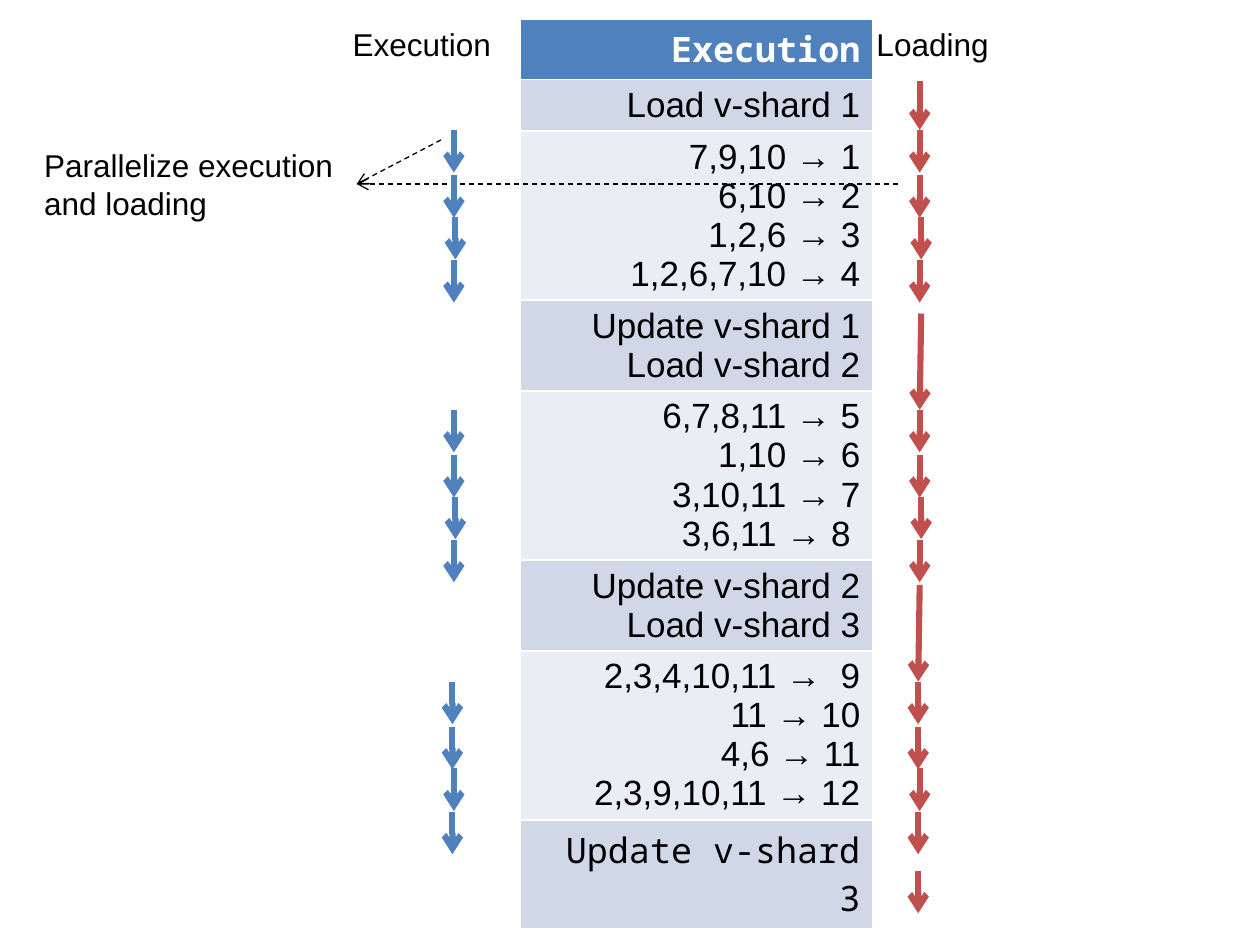
from dataclasses import dataclass

from lxml import etree
from pptx import Presentation
from pptx import util as u
from pptx.dml.color import RGBColor
from pptx.enum import dml, shapes, text
from pptx.oxml.ns import qn


@dataclass(frozen=True)
class Theme:
    sans: str = "Arial"
    mono: str = "Noto Sans Mono"
    ink: str = "000000"
    white: str = "FFFFFF"
    execute: str = "4F81BD"
    load: str = "C0504D"
    band_dark: str = "D0D8E8"
    band_light: str = "E9EDF4"
    table_size: int = 20
    label_size: int = 18
    arrow_width: float = 3.5
    callout_width: float = 0.75


class SlideBuilder:
    def __init__(self, slide, theme):
        self.s, self.theme = slide, theme

    def add_lines(self, tf, lines, size, font=None, color=None, bold=False, align=None):
        fmt = {"name": font or self.theme.sans, "size": u.Pt(size), "bold": bold}
        for i, line in enumerate(lines):
            p = tf.add_paragraph() if i else tf.paragraphs[0]
            p.alignment = align
            r = p.add_run()
            r.text = line
            for key, value in fmt.items():
                setattr(r.font, key, value)
            r.font.color.rgb = RGBColor.from_string(color or self.theme.ink)

    def label(self, x, y, w, h, words, wrap=False):
        tf = self.s.shapes.add_textbox(*map(u.Cm, (x, y, w, h))).text_frame
        tf.word_wrap = wrap
        tf.auto_size = text.MSO_AUTO_SIZE.SHAPE_TO_FIT_TEXT
        self.add_lines(tf, [words], self.theme.label_size)

    def arrow(self, x1, y1, x2, y2, color, width, dash=None):
        sp = self.s.shapes.add_connector(
            shapes.MSO_CONNECTOR.STRAIGHT, *map(u.Cm, (x1, y1, x2, y2)))
        sp.line.color.rgb = RGBColor.from_string(color)
        sp.line.width = u.Pt(width)
        if dash:
            sp.line.dash_style = dash
        sp_pr = sp._element.spPr
        etree.SubElement(sp_pr.find(qn("a:ln")), qn("a:tailEnd"), type="arrow")
        etree.SubElement(sp_pr, qn("a:effectLst"))

    def table(self, x, y, w, rows):
        """Add a one-column table; each row is (height, fill, lines, text format)."""
        heights = [row[0] for row in rows]
        tbl = self.s.shapes.add_table(
            len(rows), 1, *map(u.Cm, (x, y, w, sum(heights)))).table
        for i, (height, fill, lines, fmt) in enumerate(rows):
            tbl.rows[i].height = u.Cm(height)
            cell = tbl.cell(i, 0)
            cell.fill.solid()
            cell.fill.fore_color.rgb = RGBColor.from_string(fill)
            self.add_lines(cell.text_frame, lines, self.theme.table_size,
                           align=text.PP_ALIGN.RIGHT, **fmt)


def main():
    prs = Presentation()
    prs.slide_width, prs.slide_height = u.Cm(25.4), u.Cm(19.05)
    theme = Theme()
    b = SlideBuilder(prs.slides.add_slide(prs.slide_layouts[6]), theme)

    dark, light = theme.band_dark, theme.band_light
    b.table(10.49, 0.38, 7.11, [
        (1.17, theme.execute, ["Execution"],
         {"font": theme.mono, "color": theme.white, "bold": True}),
        (1.04, dark, ["Load v-shard 1"], {}),
        (3.41, light, ["7,9,10 → 1", "6,10 → 2", "1,2,6 → 3", "1,2,6,7,10 → 4"], {}),
        (1.82, dark, ["Update v-shard 1", "Load v-shard 2"], {}),
        (3.41, light, ["6,7,8,11 → 5", "1,10 → 6", "3,10,11 → 7", "3,6,11 → 8 "], {}),
        (1.82, dark, ["Update v-shard 2", "Load v-shard 3"], {}),
        (3.41, light, ["2,3,4,10,11 →  9", "11 → 10", "4,6 → 11",
                       "2,3,9,10,11 → 12"], {}),
        (2.16, dark, ["Update v-shard 3"], {"font": theme.mono}),
    ])

    b.label(17.42, 0.38, 2.79, 1.02, "Loading")
    b.label(6.86, 0.38, 3.33, 1.02, "Execution")
    b.label(0.64, 2.82, 6.55, 1.8, "Parallelize execution and loading", wrap=True)

    for x, y in ((8.89, 2.82), (18.11, 3.71)):
        b.arrow(x, y, 7.19, 3.71, theme.ink, theme.callout_width,
                dml.MSO_LINE.DASH)

    # Four parallel steps per shard, in both lanes
    step_length = 0.86
    for lane_x, color in ((9.15, theme.execute), (18.54, theme.load)):
        for top, shift in ((2.62, 0), (8.26, 0), (13.74, -0.03)):
            for dx, dy in ((0, 0), (0, 0.91), (0.03, 1.75), (0, 2.62)):
                x, y = lane_x + shift + dx, top + dy
                b.arrow(x, y, x, y + step_length, color, theme.arrow_width)

    # Shard loads and updates, which run in the loading lane only
    for x1, y1, x2, y2 in ((18.54, 1.63, 18.54, 2.62), (18.57, 6.32, 18.54, 8.26),
                           (18.54, 11.79, 18.51, 13.74), (18.51, 17.55, 18.51, 18.41)):
        b.arrow(x1, y1, x2, y2, theme.load, theme.arrow_width)

    prs.save("out.pptx")


if __name__ == "__main__":
    main()
